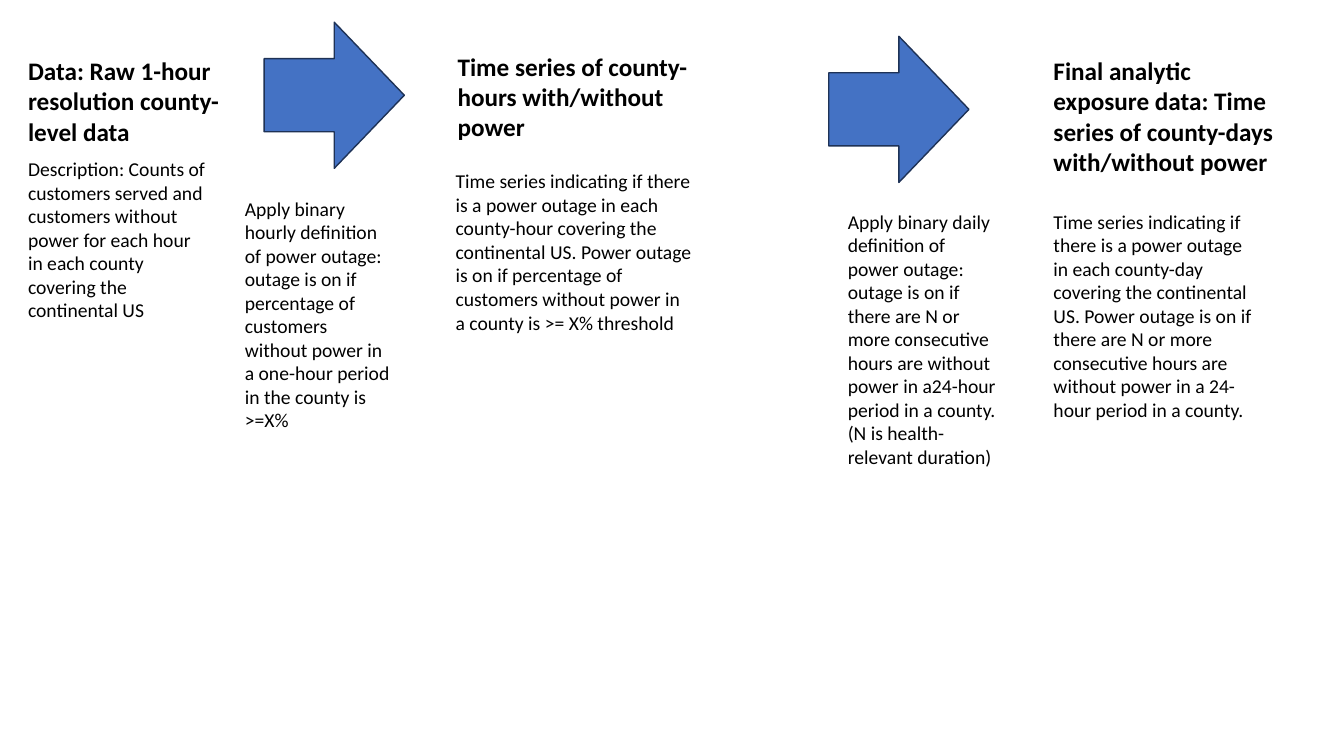
import pptx
import pptx.util
import pptx.dml.color
import pptx.enum.shapes
import pptx.enum.text
from dataclasses import dataclass
from pptx.util import Inches


@dataclass(frozen=True)
class Theme:
    font: str = "Calibri"
    ink: str = "000000"
    fill: str = "4472C4"
    edge: str = "1E3256"
    head: int = 18
    body: int = 14


THEME = Theme()

# Each entry: text, (left, top, width, height)
HEADS = [
    ("Data: Raw 1-hour resolution county-level data", (0.18, 0.5, 2.15, 1.01)),
    ("Time series of county-hours with/without power", (4.44, 0.46, 2.53, 1.01)),
    ("Final analytic exposure data: Time series of county-days with/without power",
     (10.35, 0.5, 2.39, 1.31)),
]
NOTES = [
    ("Description: Counts of customers served and customers without power "
     "for each hour in each county covering the continental US",
     (0.18, 1.51, 1.96, 1.75)),
    ("Time series indicating if there is a power outage in each county-hour "
     "covering the continental US. Power outage is on if percentage of "
     "customers without power in a county is >= X% threshold",
     (4.42, 1.63, 2.55, 1.75)),
    ("Time series indicating if there is a power outage in each county-day "
     "covering the continental US. Power outage is on if there are N or more "
     "consecutive hours are without power in a 24-hour period in a county.",
     (10.35, 2.03, 2.22, 2.22)),
]
STEPS = [
    ("Apply binary hourly definition of power outage: outage is on if "
     "percentage of customers without power in a one-hour period in the "
     "county is >=X%",
     (2.33, 1.9, 1.68, 2.46)),
    ("Apply binary daily definition of power outage: outage is on if there "
     "are N or more consecutive hours are without power in a24-hour period "
     "in a county. (N is health-relevant duration)",
     (8.31, 2.03, 1.68, 2.69)),
]
ARROWS = [(2.62, 0.22), (8.22, 0.36)]


def color(code):
    return pptx.dml.color.RGBColor.from_string(code)


def add_text(slide, text, box, size=THEME.body, bold=False):
    frame = slide.shapes.add_textbox(*map(Inches, box)).text_frame
    frame.word_wrap = True
    frame.auto_size = pptx.enum.text.MSO_AUTO_SIZE.SHAPE_TO_FIT_TEXT
    run = frame.paragraphs[0].add_run()
    run.text = text
    run.font.name = THEME.font
    run.font.size = pptx.util.Pt(size)
    run.font.bold = bold
    run.font.color.rgb = color(THEME.ink)


def add_arrow(slide, left, top):
    kind = pptx.enum.shapes.MSO_SHAPE.RIGHT_ARROW
    arrow = slide.shapes.add_shape(
        kind, Inches(left), Inches(top), Inches(1.39), Inches(1.45))
    arrow.shadow.inherit = False
    arrow.fill.solid()
    arrow.fill.fore_color.rgb = color(THEME.fill)
    arrow.line.color.rgb = color(THEME.edge)
    arrow.line.width = pptx.util.Pt(1)


def main():
    deck = pptx.Presentation()
    deck.slide_width, deck.slide_height = Inches(13.33), Inches(7.5)
    slide = deck.slides.add_slide(deck.slide_layouts[6])
    for text, box in HEADS:
        add_text(slide, text, box, size=THEME.head, bold=True)
    for text, box in NOTES + STEPS:
        add_text(slide, text, box)
    for left, top in ARROWS:
        add_arrow(slide, left, top)
    deck.save("out.pptx")


if __name__ == "__main__":
    main()
